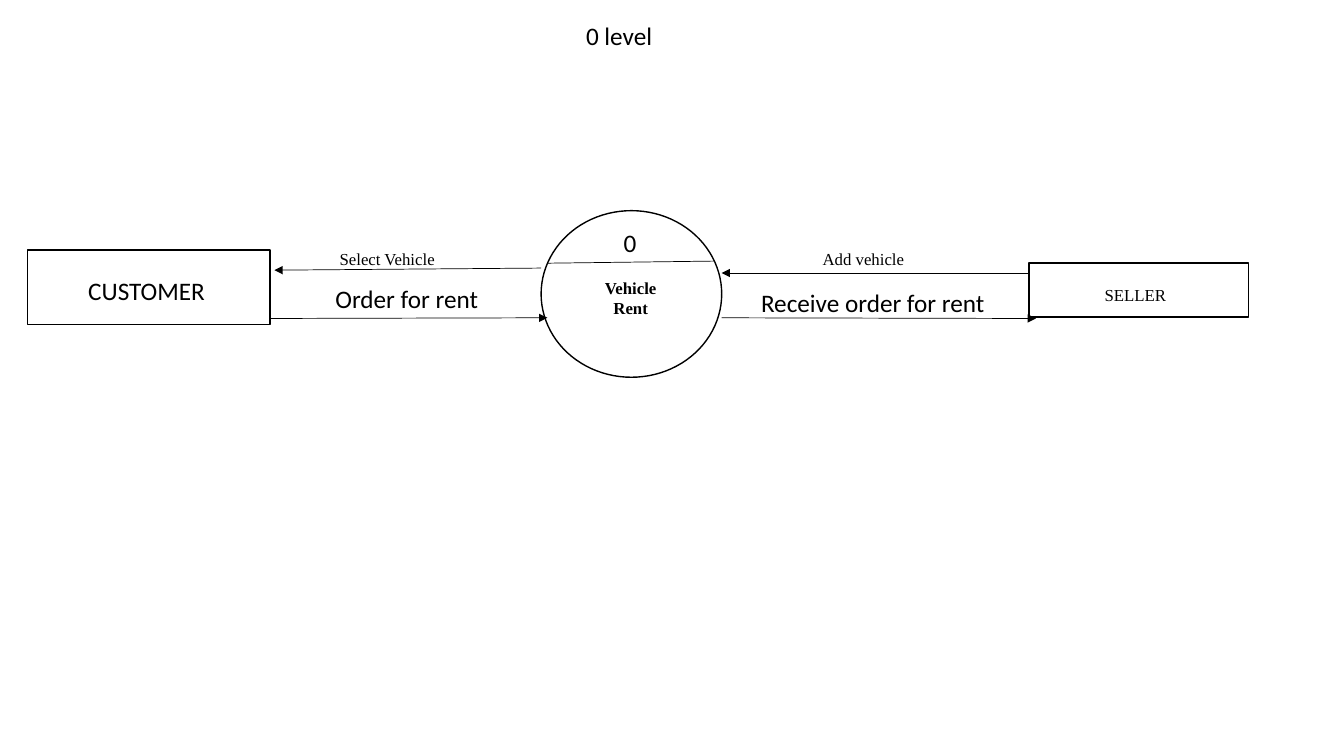
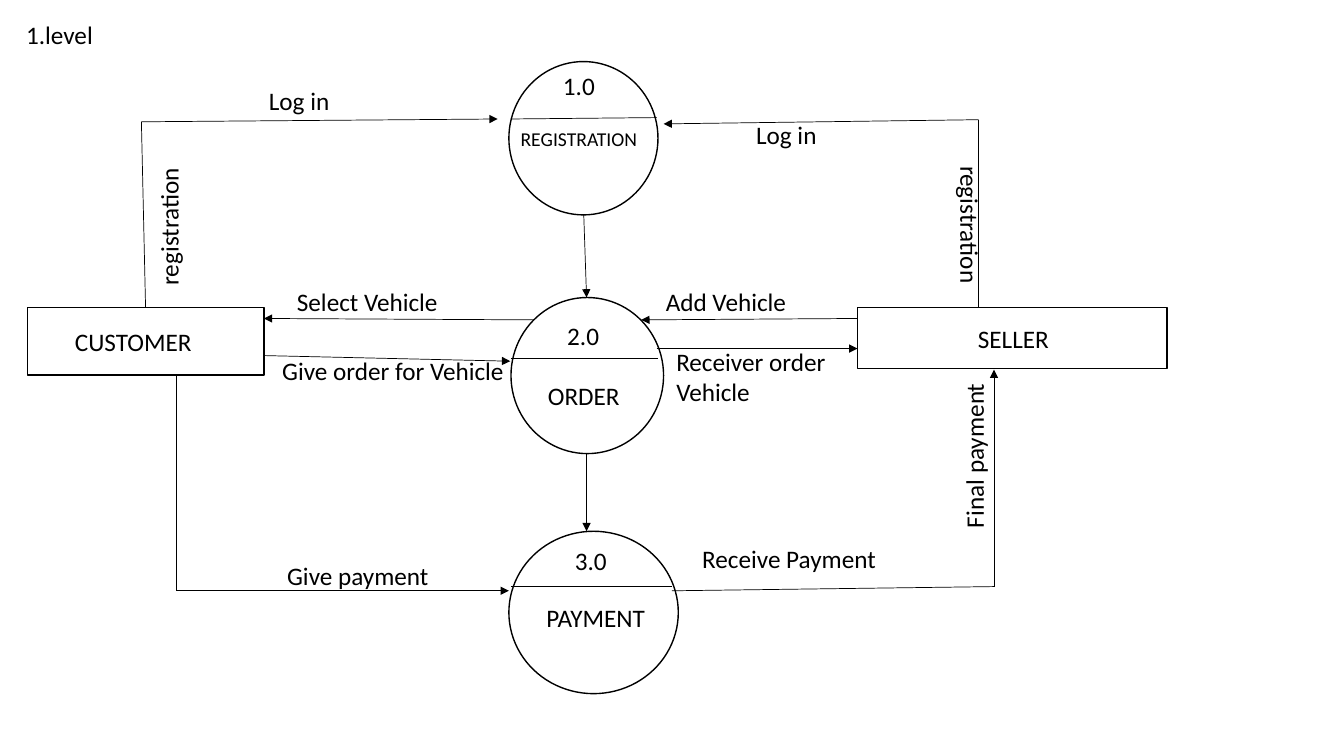
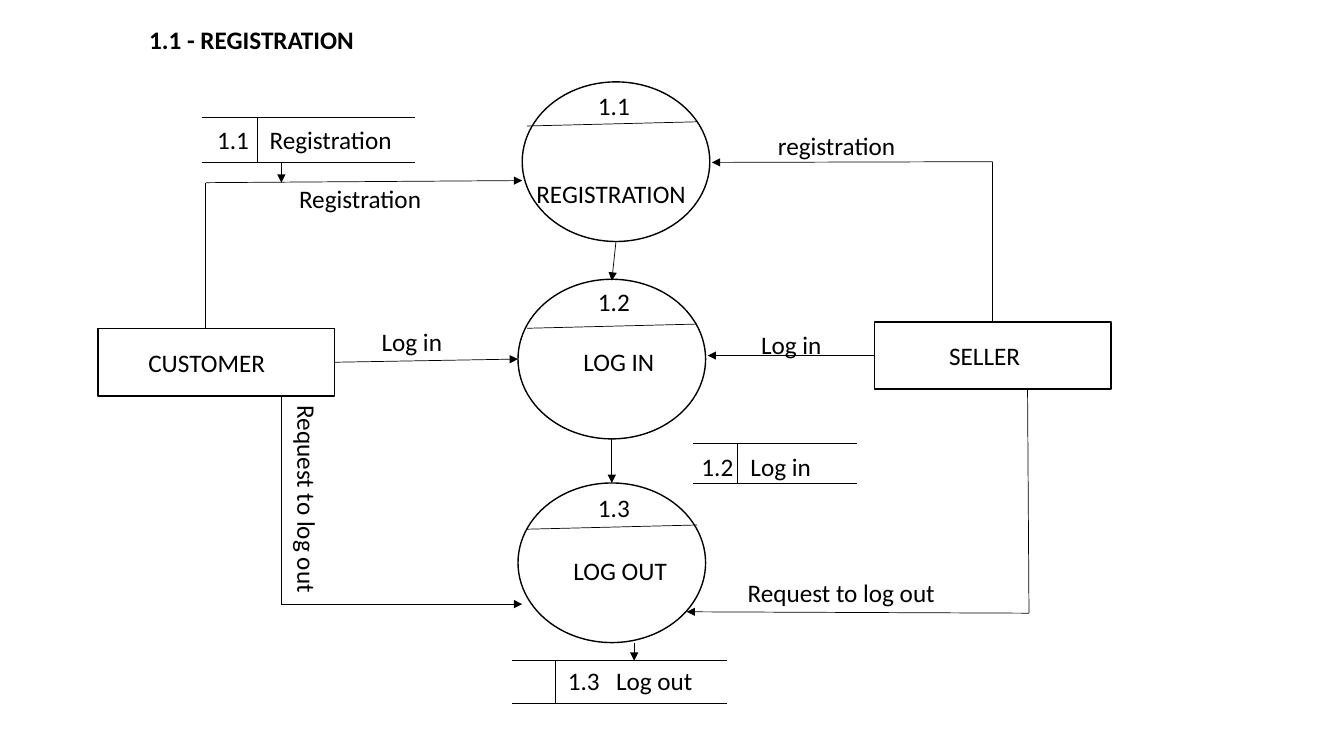
from dataclasses import dataclass

from lxml.etree import SubElement
from pptx import Presentation
from pptx.dml.color import RGBColor
from pptx.enum.shapes import MSO_CONNECTOR, MSO_SHAPE
from pptx.enum.text import MSO_ANCHOR, MSO_AUTO_SIZE, PP_ALIGN
from pptx.oxml.ns import qn
from pptx.util import Pt

TOP, LEFT, BOTTOM, RIGHT = range(4)


@dataclass(frozen=True)
class Theme:
    ink: RGBColor = RGBColor(0, 0, 0)
    paper: RGBColor = RGBColor(255, 255, 255)
    sans: str = "Calibri"
    serif: str = "Times New Roman"
    body: float = 18
    small: float = 14
    note: float = 12
    outline: float = 1
    hairline: float = 0.5
    label_height: float = 29


THEME = Theme()
NOTE = {"size": THEME.note, "font": THEME.serif}


def write(frame, text, size=THEME.body, font=THEME.sans, bold=False, align=PP_ALIGN.LEFT):
    """Fill a text frame, one paragraph for each line of text."""
    frame.word_wrap = True
    for index, line in enumerate(text.split("\n")):
        para = frame.add_paragraph() if index else frame.paragraphs[0]
        para.alignment = align
        span = para.add_run()
        span.text = line
        span.font.size = Pt(size)
        span.font.name = font
        span.font.bold = bold
        span.font.color.rgb = THEME.ink


class FlowDiagram:
    def __init__(self):
        self.deck = Presentation()
        self.deck.slide_width, self.deck.slide_height = Pt(960), Pt(540)
        self.page = None

    def new_page(self):
        self.page = self.deck.slides.add_slide(self.deck.slide_layouts[6])

    def label(self, text, left, top, width=170, turn=0, **style):
        box = self.page.shapes.add_textbox(
            Pt(left), Pt(top), Pt(width), Pt(THEME.label_height))
        write(box.text_frame, text, **style)
        box.text_frame.auto_size = MSO_AUTO_SIZE.SHAPE_TO_FIT_TEXT
        box.rotation = turn

    def outline(self, preset, left, top, width, height):
        shape = self.page.shapes.add_shape(
            preset, Pt(left), Pt(top), Pt(width), Pt(height))
        shape.shadow.inherit = False
        shape.fill.solid()
        shape.fill.fore_color.rgb = THEME.paper
        shape.line.color.rgb = THEME.ink
        shape.line.width = Pt(THEME.outline)
        return shape

    def entity(self, text, left, top, width, height, inset, drop=0, **style):
        """Draw a named rectangle; inset and drop shift its text right and down."""
        shape = self.outline(MSO_SHAPE.RECTANGLE, left, top, width, height)
        frame = shape.text_frame
        frame.vertical_anchor = MSO_ANCHOR.MIDDLE
        frame.margin_left, frame.margin_top = Pt(inset), Pt(drop)
        frame.margin_right = frame.margin_bottom = 0
        write(frame, text, **style)
        return shape

    def process(self, number, name, circle, divider, number_at, name_at, **name_style):
        """Draw a divided circle; number_at and name_at are (centre, top)."""
        self.outline(MSO_SHAPE.OVAL, *circle)
        self.line(*divider)
        width = circle[2]
        for text, (centre, top), style in ((number, number_at, {}), (name, name_at, name_style)):
            self.label(text, centre - width / 2, top, width, align=PP_ALIGN.CENTER, **style)

    def line(self, start, end, arrow=False, begin=None):
        """Draw a thin line; begin is the (shape, side) that it is joined to."""
        connector = self.page.shapes.add_connector(
            MSO_CONNECTOR.STRAIGHT, *(Pt(value) for value in (*start, *end)))
        connector.line.color.rgb = THEME.ink
        connector.line.width = Pt(THEME.hairline)
        properties = connector.element.spPr
        if arrow:
            SubElement(properties.find(qn("a:ln")), qn("a:tailEnd"), type="triangle")
        SubElement(properties, qn("a:effectLst"))
        if begin:
            connector.begin_connect(*begin)

    def flow(self, *points, begin=None, arrow=True):
        """Draw a line through the points, with an arrowhead at the last one."""
        last = len(points) - 2
        for index, (start, end) in enumerate(zip(points, points[1:])):
            self.line(start, end, arrow and index == last, None if index else begin)

    def store(self, number, name, left, right, top, bottom, divider, number_left, name_left, text_top):
        for height in (top, bottom):
            self.line((left, height), (right, height))
        self.line((divider, top), (divider, bottom))
        self.label(number, number_left, text_top, 50)
        self.label(name, name_left, text_top, 130)


def draw_level_zero(diagram):
    diagram.new_page()
    diagram.label("0 level", 411.5, 11)
    diagram.process("0", "Vehicle\nRent", (386.5, 150.5, 129, 119), ((391, 188), (510.5, 186.5)),
                    (450, 159), (450.5, 195), bold=True, **NOTE)
    diagram.entity("CUSTOMER", 19.5, 178.5, 173.5, 53.5, inset=43.5, drop=4)
    diagram.entity("SELLER", 735, 188, 157, 38.5, inset=54, drop=7, **NOTE)
    diagram.flow((193.5, 227.5), (391, 227))
    diagram.flow((386.5, 191.5), (196, 193))
    diagram.flow((735, 195), (515.5, 195))
    diagram.flow((515.5, 227), (740, 227.5))
    diagram.label("Select Vehicle", 235.5, 174, **NOTE)
    diagram.label("Add vehicle", 580.5, 174, **NOTE)
    diagram.label("Order for rent", 232.5, 199, 130)
    diagram.label("Receive order for rent", 536.5, 202, 179)


def draw_level_one(diagram):
    diagram.new_page()
    diagram.label("1.level", 11.5, 10)
    diagram.process("1.0", "REGISTRATION", (363.5, 44, 106.5, 109.5), ((365, 85), (469, 84)),
                    (413.5, 47), (413.5, 87), size=THEME.small)
    diagram.process("2.0", "ORDER", (365, 212.5, 109, 111.5), ((365, 256), (470, 256)),
                    (416.5, 225.5), (417, 268))
    diagram.process("3.0", "PAYMENT", (363.5, 379.5, 121, 116), ((365, 419), (480, 419)),
                    (422, 386), (425.5, 427))
    customer = diagram.entity("CUSTOMER", 19.5, 219.5, 169, 48.5, inset=34)
    diagram.entity("SELLER", 612.5, 219.5, 221, 44, inset=86)

    diagram.flow((104, 219.5), (101, 87), (355.5, 85), begin=(customer, TOP))
    diagram.flow((699, 219.5), (699, 85.5), (474, 88.5))
    diagram.flow((188.5, 254), (364.5, 258))
    diagram.flow((381, 228.5), (188.5, 227.5))
    diagram.flow((612.5, 227.5), (458, 228.5))
    diagram.flow((469, 249), (612.5, 249))
    diagram.flow((126, 268), (126, 422), (363.5, 422))
    diagram.flow((480, 422), (710, 419), (710, 264))
    diagram.flow((417, 153.5), (419, 212.5))
    diagram.flow((419, 324), (419, 379.5))

    diagram.label("Log in", 185, 57.5)
    diagram.label("Log in", 533, 82)
    diagram.label("registration", 58.5, 134.5, 124, turn=270)
    diagram.label("registration", 589, 201, 208, turn=90)
    diagram.label("Select Vehicle", 205, 201)
    diagram.label("Add Vehicle", 468.5, 201, 144)
    diagram.label("Give order for Vehicle", 194.5, 250.5, 192)
    diagram.label("Receiver order Vehicle", 476, 243.5, 152)
    diagram.label("Give payment", 198, 396.5)
    diagram.label("Receive Payment", 494.5, 384.5)
    diagram.label("Final payment", 615.5, 289.5, 160.5, turn=270)


def draw_registration(diagram):
    diagram.new_page()
    diagram.label("1.1 - REGISTRATION", 99.5, 13.5, 203, bold=True)
    width, height = 134, 114
    steps = (
        ("1.1", "REGISTRATION", 373, 58.5, 90, (438.5, 61), (436.5, 123.5)),
        ("1.2", "LOG IN", 370, 199.5, 234.5, (438.5, 201), (442, 244)),
        ("1.3", "LOG OUT", 370, 345, 378, (438.5, 348), (443, 393)),
    )
    for number, name, left, top, divider, number_at, name_at in steps:
        diagram.process(number, name, (left, top, width, height),
                        ((376.5, divider), (498, divider - 3)), number_at, name_at)
    customer = diagram.entity("CUSTOMER", 70, 234.5, 169, 48.5, inset=36)
    seller = diagram.entity("SELLER", 624.5, 230, 169, 48, inset=53.5)

    diagram.store("1.1", "Registration", 144, 296.5, 83.5, 116, 183.5, 148, 185.5, 85)
    diagram.store("1.2", "Log in", 495, 612, 317, 345, 527, 494, 529, 319)
    diagram.store("1.3", "Log out", 366, 519, 472, 502.5, 396.5, 398.5, 433, 472)

    diagram.flow((147, 234.5), (147, 130.5), (373, 129))
    diagram.flow((709, 230), (709, 115.5), (508.5, 116), begin=(seller, TOP))
    diagram.flow((239, 258.5), (370, 256.5), begin=(customer, RIGHT))
    diagram.flow((624.5, 254), (505.5, 254), begin=(seller, LEFT))
    diagram.flow((201, 283), (201, 431.5), (373, 431.5))
    diagram.flow((734, 278), (735, 438), (490.5, 437))
    diagram.flow((440, 172.5), (437, 200.5))
    diagram.flow((437, 313.5), (437, 345))
    diagram.flow((201, 116), (201, 130.5))
    diagram.flow((453, 459), (453, 472))

    diagram.label("Registration", 206.5, 127.5)
    diagram.label("registration", 548.5, 89.5)
    diagram.label("Log in", 265.5, 229.5, 98)
    diagram.label("Log in", 536.5, 231.5, 98)
    diagram.label("Request to log out", 112.5, 375, 214, turn=90)
    diagram.label("Request to log out", 527, 408.5, 232)


def main():
    diagram = FlowDiagram()
    draw_level_zero(diagram)
    draw_level_one(diagram)
    draw_registration(diagram)
    diagram.deck.save("out.pptx")


if __name__ == "__main__":
    main()
